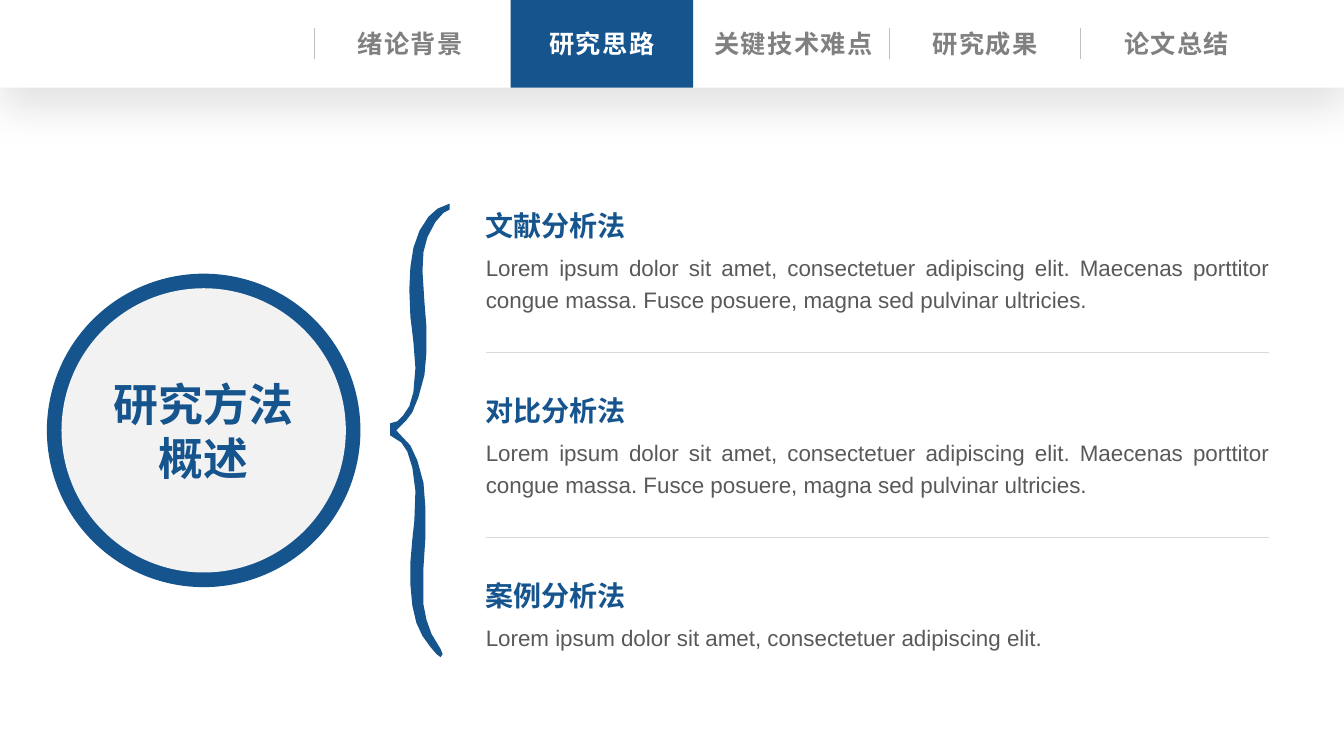
"""Build the research-methods overview slide with its navigation bar."""
import pptx
import pptx.dml.color
import pptx.enum.shapes
import pptx.enum.text
import pptx.oxml
import pptx.util
from dataclasses import dataclass

CHAPTERS = ["绪论背景", "研究思路", "关键技术难点", "研究成果", "论文总结"]
CURRENT = 1
TOPIC = "研究方法概述"
LOREM = "Lorem ipsum dolor sit amet, consectetuer adipiscing elit."
LONG_LOREM = LOREM + " Maecenas porttitor congue massa. Fusce posuere, magna sed pulvinar ultricies."
METHODS = [("文献分析法", LONG_LOREM), ("对比分析法", LONG_LOREM), ("案例分析法", LOREM)]

BRACE_OUTER = [
    (4.46, 2.08), (4.46, 2.02), (4.34, 2.07), (4.25, 2.15), (4.16, 2.29), (4.1, 2.46),
    (4.07, 2.65), (4.06, 2.87), (4.07, 3.14), (4.1, 3.39), (4.12, 3.65), (4.1, 3.89),
    (4.06, 4.03), (4, 4.12), (3.94, 4.18), (3.87, 4.2), (3.87, 4.32), (3.98, 4.39),
    (4.04, 4.48), (4.09, 4.64), (4.12, 4.87), (4.11, 5.16), (4.09, 5.35), (4.07, 5.58),
    (4.07, 5.8), (4.09, 6.01), (4.13, 6.18), (4.19, 6.31), (4.27, 6.42), (4.33, 6.49),
    (4.37, 6.52)]
BRACE_INNER = [
    (4.39, 6.49), (4.37, 6.44), (4.34, 6.39), (4.28, 6.29), (4.23, 6.15), (4.2, 6),
    (4.2, 5.85), (4.2, 5.63), (4.22, 5.32), (4.22, 5.05), (4.2, 4.79), (4.14, 4.57),
    (4.07, 4.42), (3.93, 4.27), (4.03, 4.17), (4.09, 4.09), (4.15, 3.94), (4.21, 3.72),
    (4.23, 3.49), (4.23, 3.25), (4.21, 3), (4.19, 2.69), (4.2, 2.5), (4.24, 2.35),
    (4.32, 2.2), (4.4, 2.11)]


@dataclass(frozen=True)
class Theme:
    font: str = "Arial"
    blue: str = "15548D"
    white: str = "FFFFFF"
    disc: str = "F2F2F2"
    muted: str = "808080"
    body: str = "595959"
    tab_rule: str = "BFBFBF"
    method_rule: str = "D9D9D9"
    topic_size: int = 32
    method_size: int = 20
    tab_size: int = 18
    body_size: int = 16


THEME = Theme()
ALIGN = pptx.enum.text.PP_ALIGN
ANCHOR = pptx.enum.text.MSO_ANCHOR
SHAPE = pptx.enum.shapes.MSO_SHAPE
NS = 'xmlns:a="http://schemas.openxmlformats.org/drawingml/2006/main"'
BAR_SHADOW = (f'<a:effectLst {NS}><a:outerShdw blurRad="355600" dist="190500" dir="5400000" '
              'algn="t" rotWithShape="0"><a:srgbClr val="000000"><a:alpha val="11000"/>'
              '</a:srgbClr></a:outerShdw></a:effectLst>')

WIDTH, HEIGHT = 13.33, 7.5
BAR_HEIGHT = 0.87
TAB_PITCH, TAB_LEFT = 1.9, 3.12
TAB_RULES = [0, 3, 4]
ACTIVE_WIDTH = 1.81
CIRCLE_X, CIRCLE_Y = 2.02, 4.27
METHOD_LEFT, METHOD_TOP, METHOD_PITCH = 4.72, 2.02, 1.835
METHOD_WIDTH = 7.97
INSET = 0.1

inches = pptx.util.Inches
rgb = pptx.dml.color.RGBColor.from_string


def write(frame, text, *, size, color, bold=False, align=ALIGN.LEFT, spacing=1.0,
          tracking=0, wrap=True, anchor=ANCHOR.TOP):
    frame.word_wrap = wrap
    frame.vertical_anchor = anchor
    line = frame.paragraphs[0]
    line.alignment = align
    line.line_spacing = spacing
    run = line.add_run()
    run.text = text
    run.font.name = THEME.font
    run.font.size = pptx.util.Pt(size)
    run.font.bold = bold
    run.font.color.rgb = rgb(color)
    if tracking:
        run.font._element.set("spc", str(tracking * 100))


def text_box(slide, box, text, **style):
    frame = slide.shapes.add_textbox(*map(inches, box)).text_frame
    write(frame, text, **style)


def paint(shape, color):
    shape.shadow.inherit = False
    shape.fill.solid()
    shape.fill.fore_color.rgb = rgb(color)
    shape.line.fill.background()
    return shape


def block(slide, kind, box, color):
    return paint(slide.shapes.add_shape(kind, *map(inches, box)), color)


def rule(slide, start, end, color):
    line = slide.shapes.add_connector(
        pptx.enum.shapes.MSO_CONNECTOR.STRAIGHT, *map(inches, start + end))
    line.line.color.rgb = rgb(color)
    line.line.width = pptx.util.Pt(0.5)
    line._element.spPr.append(pptx.oxml.parse_xml(f"<a:effectLst {NS}/>"))


def navigation(slide):
    bar = block(slide, SHAPE.RECTANGLE, (0, 0, WIDTH, BAR_HEIGHT), THEME.white)
    bar.shadow.inherit = True
    bar._element.spPr.append(pptx.oxml.parse_xml(BAR_SHADOW))
    for index in TAB_RULES:
        x = TAB_LEFT + index * TAB_PITCH
        rule(slide, (x, 0.28), (x, 0.59), THEME.tab_rule)
    for index, chapter in enumerate(CHAPTERS):
        center = TAB_LEFT + (index + 0.5) * TAB_PITCH
        active = index == CURRENT
        if active:
            block(slide, SHAPE.RECTANGLE,
                  (center - ACTIVE_WIDTH / 2, 0, ACTIVE_WIDTH, BAR_HEIGHT), THEME.blue)
        width = 0.21 + 0.265 * len(chapter)
        text_box(slide, (center - width / 2, 0.23, width, 0.4), chapter,
                 size=THEME.tab_size, color=THEME.white if active else THEME.muted,
                 bold=True, align=ALIGN.CENTER, tracking=1, wrap=False)


def topic(slide):
    for diameter, color in [(3.11, THEME.blue), (2.82, THEME.disc)]:
        block(slide, SHAPE.OVAL, (CIRCLE_X - diameter / 2, CIRCLE_Y - diameter / 2,
                                  diameter, diameter), color)
    title = slide.shapes.title
    side = 2
    title.left, title.top = inches(CIRCLE_X - side / 2), inches(CIRCLE_Y - side / 2)
    title.width = title.height = inches(side)
    frame = title.text_frame
    frame.margin_left = frame.margin_right = 0
    write(frame, TOPIC, size=THEME.topic_size, color=THEME.blue, bold=True,
          align=ALIGN.CENTER, anchor=ANCHOR.MIDDLE)
    slide.shapes._spTree.append(title._element)


def brace(slide):
    start, *rest = [(inches(x), inches(y)) for x, y in BRACE_OUTER + BRACE_INNER]
    outline = slide.shapes.build_freeform(*start)
    outline.add_line_segments(rest, close=True)
    paint(outline.convert_to_shape(), THEME.blue)


def methods(slide):
    for index, (name, summary) in enumerate(METHODS):
        top = METHOD_TOP + index * METHOD_PITCH
        text_box(slide, (METHOD_LEFT, top, 1.6, 0.44), name, size=THEME.method_size,
                 color=THEME.blue, bold=True, wrap=False)
        text_box(slide, (METHOD_LEFT, top + 0.4, METHOD_WIDTH, 0.72), summary,
                 size=THEME.body_size, color=THEME.body, align=ALIGN.JUSTIFY, spacing=1.2)
        if index:
            y = top - 0.36
            rule(slide, (METHOD_LEFT + INSET, y),
                 (METHOD_LEFT + METHOD_WIDTH - INSET, y), THEME.method_rule)


def main():
    deck = pptx.Presentation()
    deck.slide_width, deck.slide_height = inches(WIDTH), inches(HEIGHT)
    slide = deck.slides.add_slide(deck.slide_layouts[5])
    navigation(slide)
    topic(slide)
    brace(slide)
    methods(slide)
    deck.save("out.pptx")


if __name__ == "__main__":
    main()
